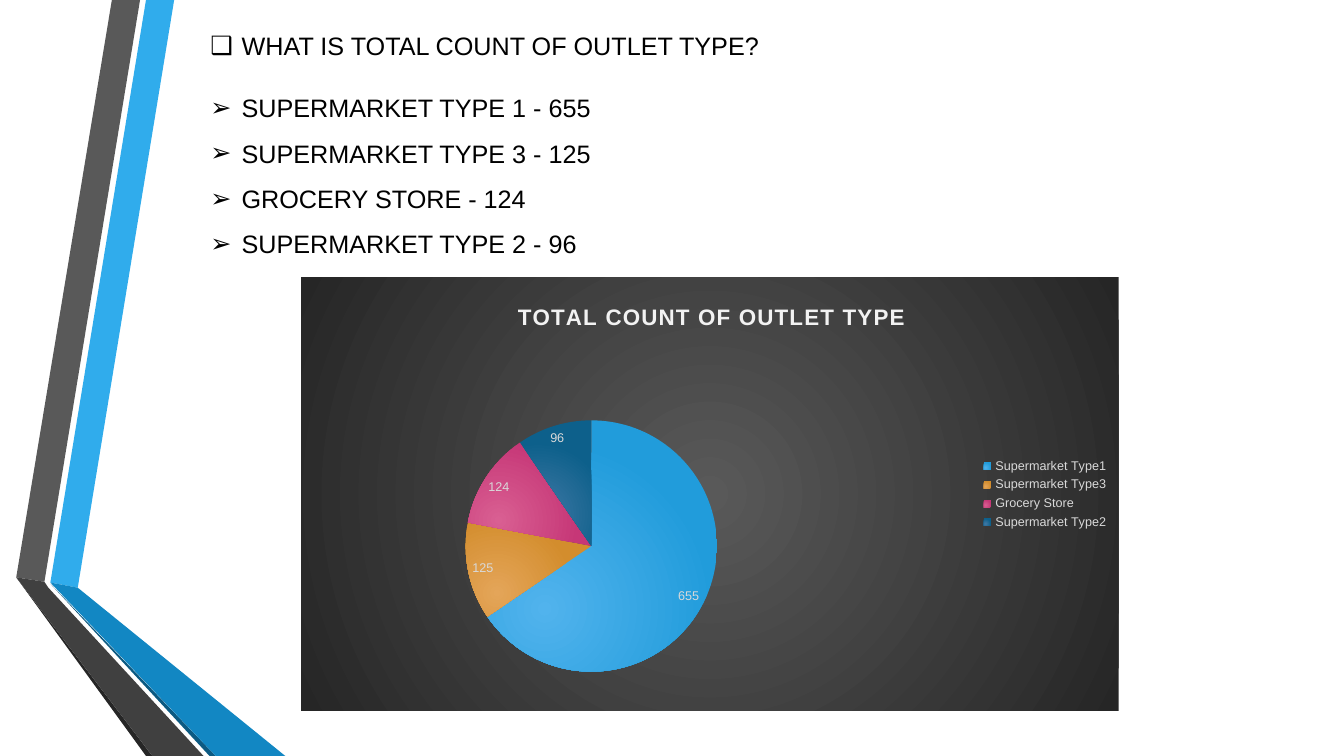
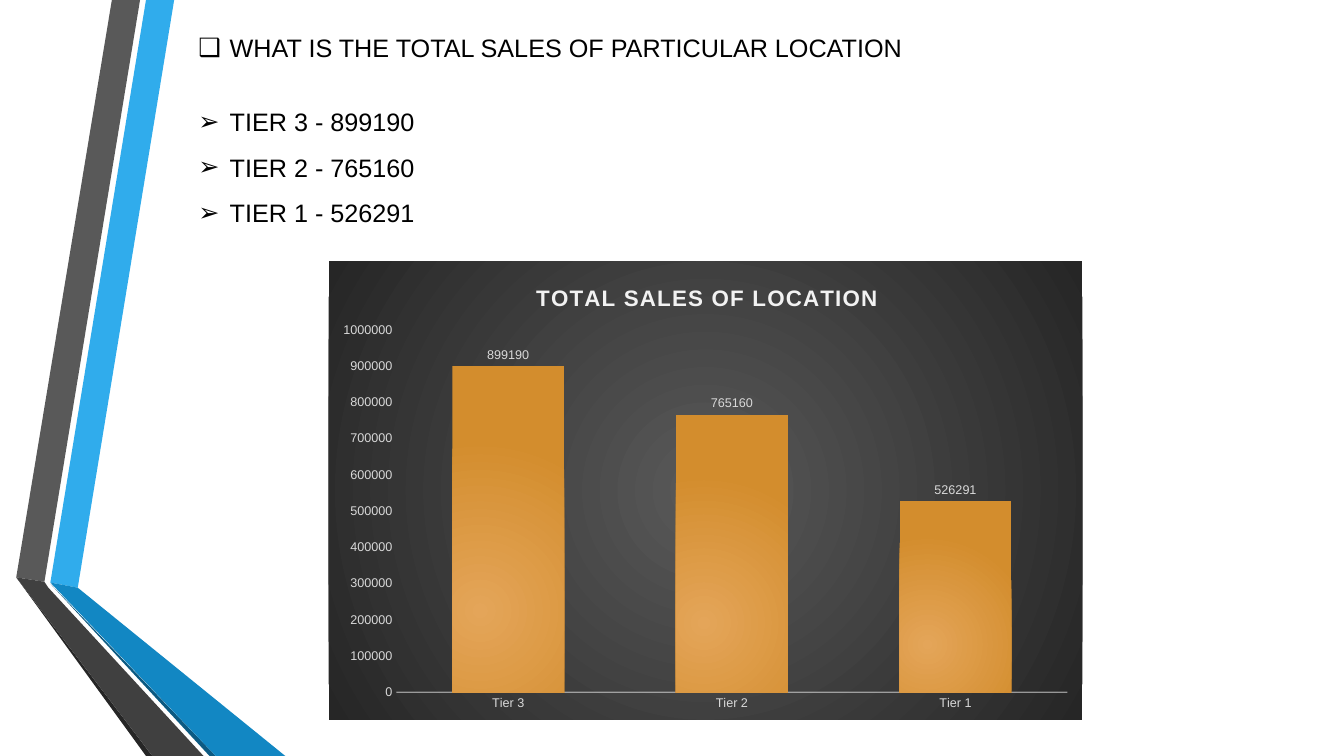
from lxml import etree
from pptx import Presentation
from pptx.chart.data import CategoryChartData
from pptx.dml.color import RGBColor
from pptx.dml.fill import FillFormat
from pptx.enum.chart import (XL_CHART_TYPE, XL_LABEL_POSITION,
                             XL_LEGEND_POSITION, XL_TICK_MARK)
from pptx.enum.text import MSO_AUTO_SIZE
from pptx.oxml import parse_xml
from pptx.oxml.ns import nsdecls, qn
from pptx.util import Cm, Pt

PIE = XL_CHART_TYPE.PIE
COLUMN = XL_CHART_TYPE.COLUMN_CLUSTERED
BEST_FIT = XL_LABEL_POSITION.BEST_FIT
OUTSIDE_END = XL_LABEL_POSITION.OUTSIDE_END
LEGEND_RIGHT = XL_LEGEND_POSITION.RIGHT
NO_TICK = XL_TICK_MARK.NONE
GROW = MSO_AUTO_SIZE.SHAPE_TO_FIT_TEXT

BLACK = RGBColor(0x00, 0x00, 0x00)
SKY = RGBColor(0x30, 0xAC, 0xEC)
BLUE = RGBColor(0x12, 0x87, 0xC3)
NAVY = RGBColor(0x0C, 0x5A, 0x82)
GREY = RGBColor(0x59, 0x59, 0x59)
DARK = RGBColor(0x40, 0x40, 0x40)
DARKEST = RGBColor(0x26, 0x26, 0x26)
PALE = RGBColor(0xF2, 0xF2, 0xF2)
LABEL = RGBColor(0xD9, 0xD9, 0xD9)
PANEL = (GREY, DARKEST)
BLUE_GLOW = (RGBColor(0x51, 0xB3, 0xED), RGBColor(0x21, 0x9C, 0xDB))
ORANGE_GLOW = (RGBColor(0xE4, 0xA5, 0x59), RGBColor(0xD3, 0x8D, 0x2D))
PINK_GLOW = (RGBColor(0xD9, 0x5F, 0x92), RGBColor(0xC6, 0x37, 0x77))
NAVY_GLOW = (RGBColor(0x41, 0x79, 0xA5), RGBColor(0x0D, 0x60, 0x8B))

CENTRE = (50, 50, 50, 50)
LOWER_LEFT = (50, 100, 100, 50)
WIDTH, HEIGHT = 33.87, 19.05

# Folded ribbons on the left edge: colour and corner points in cm
RIBBONS = [
    (SKY, [(1.27, 14.68), (1.96, 14.81), (4.39, 0), (3.68, 0)]),
    (GREY, [(3.53, 0), (2.82, 0), (0.41, 14.55), (1.12, 14.66)]),
    (DARKEST, [(0.41, 14.55), (3.68, HEIGHT), (3.84, HEIGHT)]),
    (NAVY, [(1.27, 14.71), (5.28, HEIGHT), (5.44, HEIGHT)]),
    (BLUE, [(1.27, 14.68), (5.44, HEIGHT), (7.19, HEIGHT), (1.96, 14.81)]),
    (DARK, [(5.13, HEIGHT), (1.22, 14.81), (1.12, 14.66), (0.41, 14.55),
            (3.84, HEIGHT)]),
]


def set_font(font, size, color, bold=False):
    """Apply the deck's typeface with a size and colour."""
    font.name, font.size, font.bold = "Arial", Pt(size), bold
    font.color.rgb = color


def radial(fill, colors, focus):
    """Fill with a circular two-colour gradient around a focus."""
    fill.gradient()
    for stop, color in zip(fill.gradient_stops, colors):
        stop.color.rgb = color
    grad = fill._fill._gradFill
    grad.remove(grad.find(qn("a:lin")))
    shade = etree.SubElement(grad, qn("a:path"), {"path": "circle"})
    rect = etree.SubElement(shade, qn("a:fillToRect"))
    for side, share in zip("ltrb", focus):
        rect.set(side, str(share * 1000))


def set_layout(parent, index, target=None, **shares):
    """Place a chart part by shares of the chart's size."""
    for old in parent.findall(qn("c:layout")):
        parent.remove(old)
    layout = etree.Element(qn("c:layout"))
    manual = etree.SubElement(layout, qn("c:manualLayout"))
    settings = {"layoutTarget": target} if target else {}
    settings.update(xMode="edge", yMode="edge", **shares)
    for tag, value in settings.items():
        etree.SubElement(manual, qn("c:" + tag), {"val": str(value)})
    parent.insert(index, layout)


class Deck:
    """Holds the shared style and the current slide."""

    def __init__(self):
        """Start an empty widescreen presentation."""
        self.prs = Presentation()
        self.prs.slide_width, self.prs.slide_height = Cm(WIDTH), Cm(HEIGHT)
        self.s = None

    def slide(self):
        """Add a blank slide with the ribbons."""
        self.s = self.prs.slides.add_slide(self.prs.slide_layouts[6])
        for color, points in RIBBONS:
            start, *rest = [(Cm(x), Cm(y)) for x, y in points]
            builder = self.s.shapes.build_freeform(*start)
            builder.add_line_segments(rest, close=True)
            sp = builder.convert_to_shape()
            sp.shadow.inherit = False
            sp.fill.solid()
            sp.fill.fore_color.rgb = color
            sp.line.fill.background()

    def bullets(self, box, lines, mark="\u27a2", spacing=1.5):
        """Add a text box of bulleted lines."""
        tf = self.s.shapes.add_textbox(*map(Cm, box)).text_frame
        tf.word_wrap, tf.auto_size = True, GROW
        for i, line in enumerate(lines):
            p = tf.add_paragraph() if i else tf.paragraphs[0]
            p.line_spacing = spacing
            r = p.add_run()
            r.text = line
            set_font(r.font, 18, BLACK)
            pPr = p._p.get_or_add_pPr()
            pPr.set("marL", str(Cm(0.79)))
            pPr.set("indent", str(Cm(-0.79)))
            etree.SubElement(pPr, qn("a:buFont"), {"typeface": "Arial"})
            etree.SubElement(pPr, qn("a:buChar"), {"char": mark})

    def heading(self, box, text):
        """Add the slide's question."""
        self.bullets(box, [text], "\u2751", 1.0)

    def chart(self, kind, box, title, title_at, plot_at, values, label_pos):
        """Add a one-series chart on a dark panel and return it."""
        data = CategoryChartData()
        data.categories = list(values)
        data.add_series("Series 1", list(values.values()))
        chart = self.s.shapes.add_chart(kind, *map(Cm, box), data).chart
        set_font(chart.font, 10, BLACK)

        space = chart._chartSpace
        spPr = parse_xml("<c:spPr %s/>" % nsdecls("c", "a"))
        space.find(qn("c:chart")).addnext(spPr)
        radial(FillFormat.from_fill_parent(spPr), PANEL, CENTRE)
        etree.SubElement(etree.SubElement(spPr, qn("a:ln")), qn("a:noFill"))

        chart.has_title = True
        r = chart.chart_title.text_frame.paragraphs[0].add_run()
        r.text = title
        set_font(r.font, 16, PALE, True)
        r._r.get_or_add_rPr().set("spc", "100")
        x, y = title_at
        set_layout(chart.chart_title._element, 1, x=x, y=y)
        x, y, w, h = plot_at
        set_layout(space.find(".//" + qn("c:plotArea")), 0, "inner",
                   x=x, y=y, w=w, h=h)

        labels = chart.plots[0].series[0].data_labels
        labels.show_value, labels.position = True, label_pos
        set_font(labels.font, 9, LABEL)
        return chart

    def pie(self, box, title, title_at, plot_at, values, glows):
        """Add a pie chart with a legend."""
        chart = self.chart(PIE, box, title, title_at, plot_at, values,
                           BEST_FIT)
        for i, glow in enumerate(glows):
            point = chart.plots[0].series[0].points[i]
            radial(point.format.fill, glow, LOWER_LEFT)
            point.format.line.fill.background()
        chart.has_legend = True
        chart.legend.position = LEGEND_RIGHT
        chart.legend.include_in_layout = False
        set_font(chart.legend.font, 9, LABEL)

    def columns(self, box, title, title_at, plot_at, values, glow, top, step):
        """Add a column chart without gridlines."""
        chart = self.chart(COLUMN, box, title, title_at, plot_at, values,
                           OUTSIDE_END)
        chart.has_legend = False
        plot = chart.plots[0]
        plot.gap_width, plot.overlap = 100, -24
        plot.vary_by_categories = False
        series = plot.series[0]
        radial(series.format.fill, glow, LOWER_LEFT)
        series.format.line.fill.background()
        for axis in (chart.category_axis, chart.value_axis):
            axis.has_major_gridlines = False
            axis.major_tick_mark = axis.minor_tick_mark = NO_TICK
            set_font(axis.tick_labels.font, 9, LABEL)
        scale = chart.value_axis
        scale.minimum_scale, scale.maximum_scale = 0, top
        scale.major_unit = step
        scale.format.line.fill.background()
        line = chart.category_axis.format.line
        line.width = Pt(1)
        line.color.rgb = PALE
        tint = chart.category_axis._element.find(
            "%s/%s//%s" % (qn("c:spPr"), qn("a:ln"), qn("a:srgbClr")))
        etree.SubElement(tint, qn("a:alpha"), {"val": "54000"})


def outlet_types(deck):
    """Build the slide on outlet types."""
    deck.slide()
    deck.heading((5.05, 0.64, 20.5, 1.8),
                 "WHAT IS TOTAL COUNT OF OUTLET TYPE?")
    deck.pie((7.59, 6.99, 20.6, 10.92), "TOTAL COUNT OF OUTLET TYPE",
             (0.26, 0.05), (0.05, 0.33, 0.61, 0.58),
             {"Supermarket Type1": 655, "Supermarket Type3": 125,
              "Grocery Store": 124, "Supermarket Type2": 96},
             [BLUE_GLOW, ORANGE_GLOW, PINK_GLOW, NAVY_GLOW])
    deck.bullets((5.05, 1.83, 14.63, 6.02),
                 ["SUPERMARKET TYPE 1 - 655", "SUPERMARKET TYPE 3 - 125",
                  "GROCERY STORE - 124", "SUPERMARKET TYPE 2 - 96"])


def location_sales(deck):
    """Build the slide on sales by location."""
    deck.slide()
    deck.heading((4.75, 0.69, 22.53, 1.8),
                 "WHAT IS THE TOTAL SALES OF PARTICULAR LOCATION")
    deck.columns((8.28, 6.58, 19, 11.56), "TOTAL SALES OF LOCATION",
                 (0.27, 0.04), (0.09, 0.15, 0.89, 0.79),
                 {"Tier 3": 899190, "Tier 2": 765160, "Tier 1": 526291},
                 ORANGE_GLOW, 1000000, 100000)
    deck.bullets((4.75, 2.18, 17.7, 3.58),
                 ["TIER 3 - 899190", "TIER 2 - 765160", "TIER 1 - 526291"])


deck = Deck()
outlet_types(deck)
location_sales(deck)
deck.prs.save("out.pptx")
